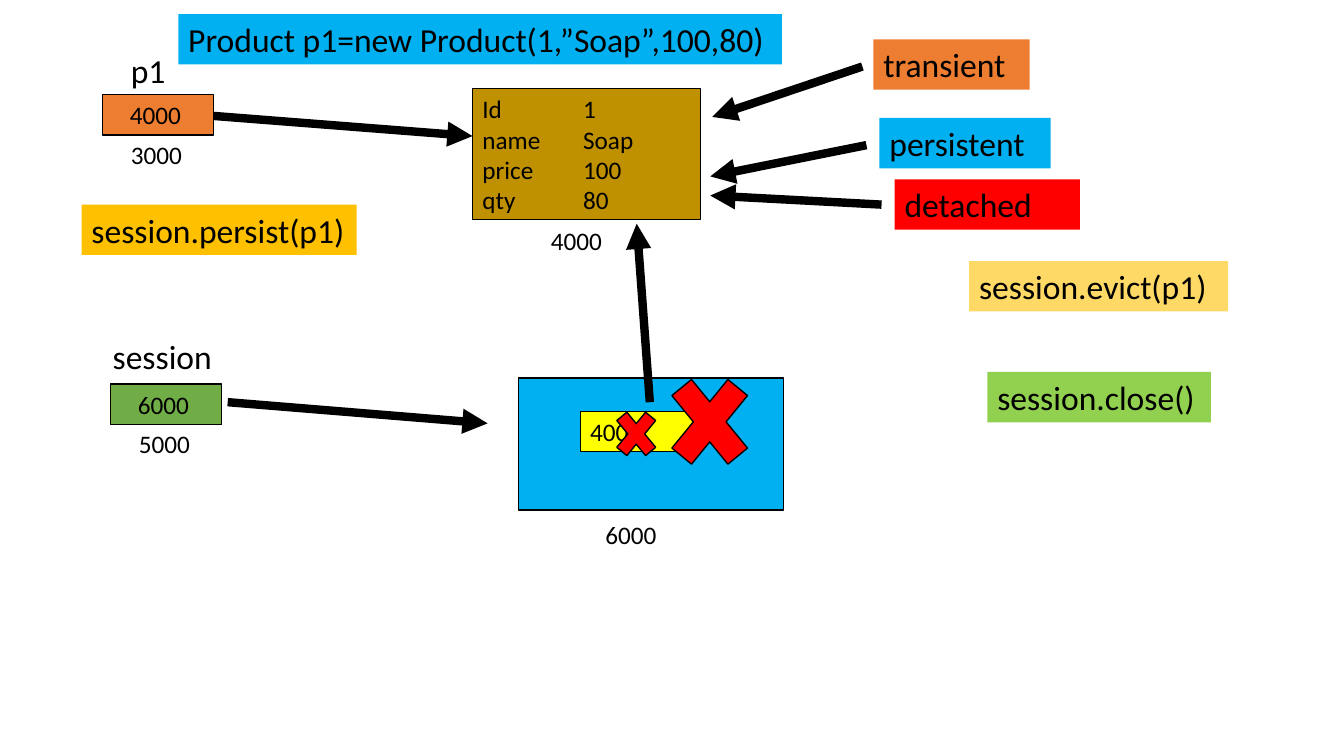
import lxml.etree
import pptx
import pptx.dml.color
import pptx.enum.shapes
import pptx.enum.text
import pptx.oxml.ns
import pptx.util

COLORS = {
    "black": "000000", "white": "FFFFFF", "orange": "ED7D31", "blue": "00B0F0",
    "bronze": "BF9000", "yellow": "FFFF00", "green": "70AD47", "amber": "FFC000",
    "red": "FF0000", "sand": "FFD966", "lime": "92D050",
}
PX = 9144
SMALL, LARGE = 18, 24
SHAPES = pptx.enum.shapes.MSO_SHAPE


def rgb(name):
    return pptx.dml.color.RGBColor.from_string(COLORS[name])


def add_xml(parent, tag, **attributes):
    return lxml.etree.SubElement(parent, pptx.oxml.ns.qn(tag), **attributes)


class Diagram:
    font = "Calibri"

    def __init__(self, slide):
        self.slide = slide

    def shape(self, kind, left, top, width, height, fill, line, line_width=0.75):
        shape = self.slide.shapes.add_shape(
            kind, left * PX, top * PX, width * PX, height * PX)
        shape.shadow.inherit = False
        if fill:
            shape.fill.solid()
            shape.fill.fore_color.rgb = rgb(fill)
        else:
            shape.fill.background()
        if line:
            shape.line.color.rgb = rgb(line)
            shape.line.width = pptx.util.Pt(line_width)
        else:
            shape.line.fill.background()
        return shape

    def box(self, text, left, top, width, height, size, fill=None, line=None, inset=10):
        shape = self.shape(SHAPES.RECTANGLE, left, top, width, height, fill, line)
        self.add_text(shape.text_frame, text, size, inset)

    def label(self, text, left, top, width, height):
        shape = self.slide.shapes.add_textbox(
            left * PX, top * PX, width * PX, height * PX)
        self.add_text(shape.text_frame, text, SMALL, 10)

    def add_text(self, frame, text, size, inset):
        frame.word_wrap = True
        frame.vertical_anchor = pptx.enum.text.MSO_ANCHOR.TOP
        frame.margin_left, frame.margin_right = inset * PX, 10 * PX
        frame.margin_top = frame.margin_bottom = 5 * PX
        for index, line in enumerate(text.split("\n")):
            paragraph = frame.add_paragraph() if index else frame.paragraphs[0]
            paragraph.alignment = pptx.enum.text.PP_ALIGN.LEFT
            if "\t" in line:
                tabs = add_xml(paragraph._p.get_or_add_pPr(), "a:tabLst")
                add_xml(tabs, "a:tab", pos=str(100 * PX), algn="l")
            run = paragraph.add_run()
            run.text = line
            run.font.name = self.font
            run.font.size = pptx.util.Pt(size)
            run.font.color.rgb = rgb("black")

    def arrow(self, *ends):
        connector = self.slide.shapes.add_connector(
            pptx.enum.shapes.MSO_CONNECTOR.STRAIGHT, *(end * PX for end in ends))
        connector.line.color.rgb = rgb("black")
        connector.line.width = pptx.util.Pt(6)
        add_xml(connector.line._get_or_add_ln(), "a:tailEnd", type="triangle")
        add_xml(connector._element.spPr, "a:effectLst")

    def cross(self, left, top, width, height):
        self.shape(SHAPES.MATH_MULTIPLY, left, top, width, height, "red", "black", 1)


def main():
    presentation = pptx.Presentation()
    presentation.slide_width = 1334 * PX
    presentation.slide_height = 750 * PX
    diagram = Diagram(presentation.slides.add_slide(presentation.slide_layouts[6]))

    for name, left, top, width in (("p1", 120, 45, 84), ("session", 102, 328, 143)):
        diagram.box(name, left, top, width, 50, LARGE, line="white")

    for address, left, top, fill in (("4000", 102, 94, "orange"), ("6000", 110, 381, "green")):
        diagram.box(address, left, top, 110, 40, SMALL, fill, "black", inset=27)

    diagram.box("Id\t1\nname\tSoap\nprice\t100\nqty\t80",
                469, 88, 226, 130, SMALL, "bronze", "black")
    diagram.shape(SHAPES.RECTANGLE, 515, 375, 263, 131, "blue", "black")
    diagram.box("4000", 576, 408, 112, 40, SMALL, "yellow", "black")

    for address, left, top, width in (
        ("3000", 120, 133, 73), ("4000", 537, 219, 73),
        ("6000", 591, 510, 81), ("5000", 128, 420, 73),
    ):
        diagram.label(address, left, top, width, 40)

    for text, left, top, width, fill in (
        ("Product p1=new Product(1,”Soap”,100,80)", 177, 14, 599, "blue"),
        ("transient", 867, 39, 155, "orange"),
        ("persistent", 873, 117, 170, "blue"),
        ("detached", 888, 178, 184, "red"),
        ("session.persist(p1)", 81, 203, 273, "amber"),
        ("session.evict(p1)", 962, 259, 257, "sand"),
        ("session.close()", 980, 369, 222, "lime"),
    ):
        diagram.box(text, left, top, width, 50, LARGE, fill)

    for ends in (
        (212, 115, 469, 135), (226, 399, 484, 420), (645, 399, 632, 222),
        (856, 66, 707, 116), (860, 144, 705, 175), (875, 203, 705, 194),
    ):
        diagram.arrow(*ends)

    diagram.cross(604, 397, 55, 67)
    diagram.cross(651, 353, 107, 131)

    presentation.save("out.pptx")


if __name__ == "__main__":
    main()
